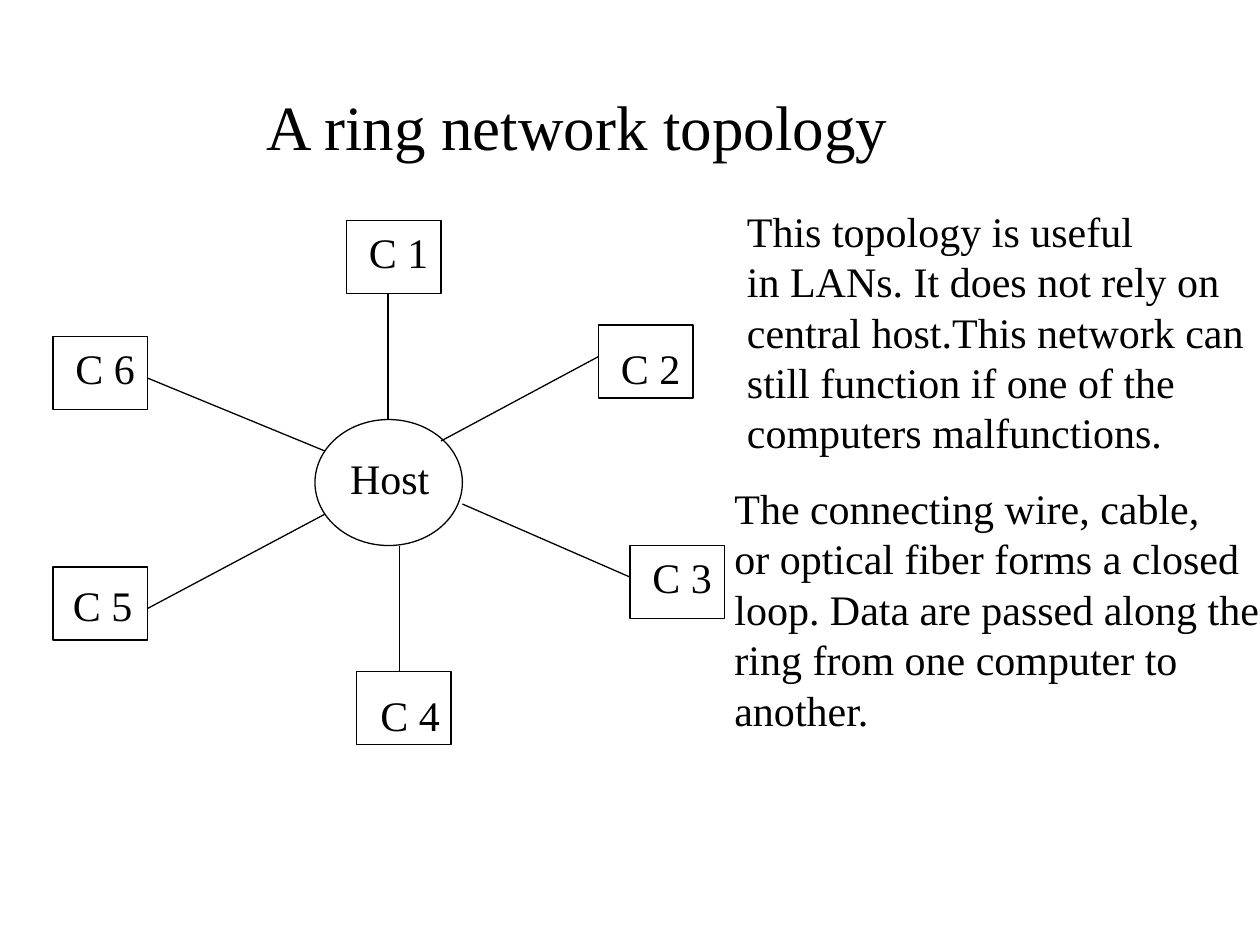
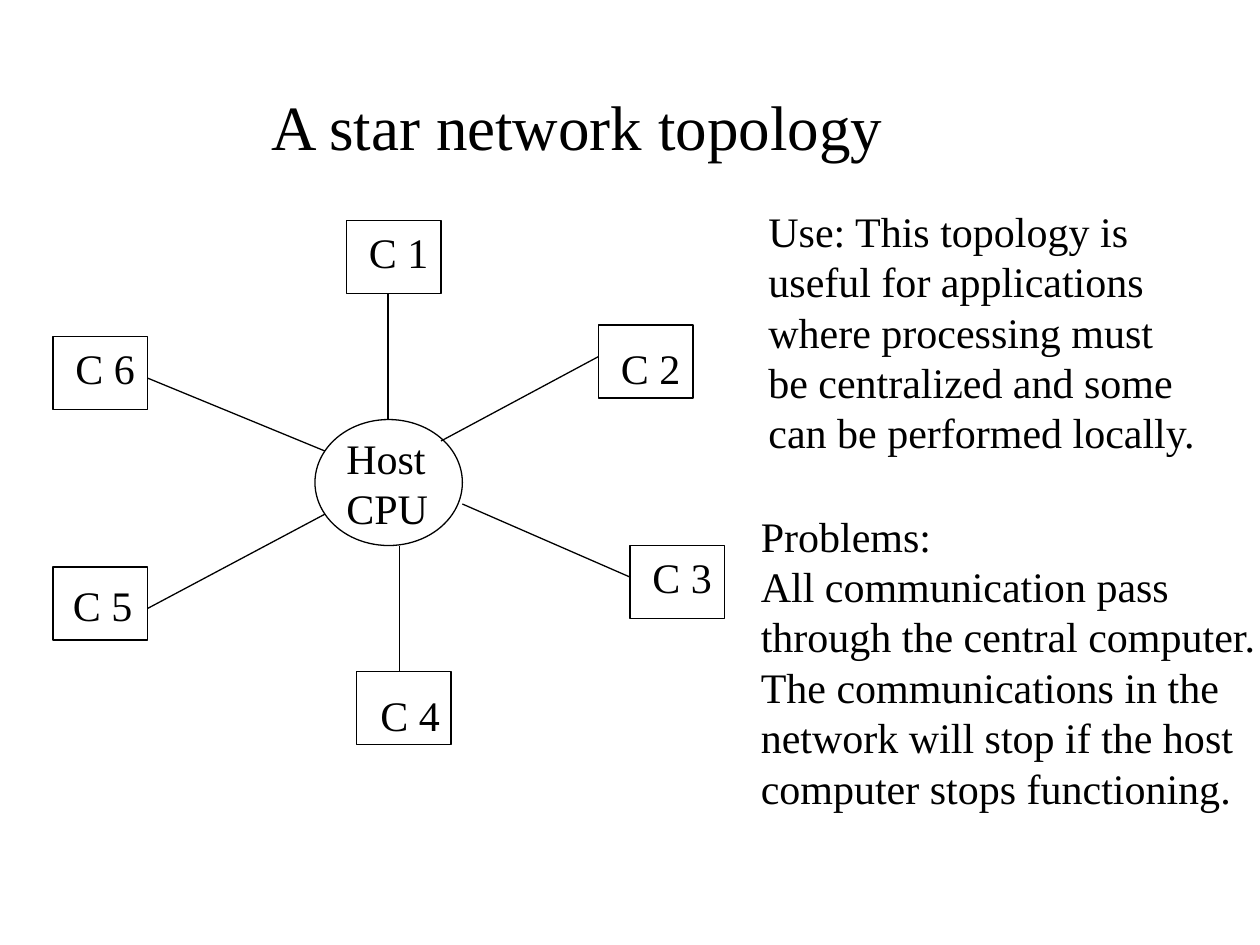
from dataclasses import dataclass
from pptx import Presentation
from pptx.dml.color import RGBColor
from pptx.enum import shapes as kinds, text as txt
from pptx.oxml.ns import qn
from pptx.util import Inches, Pt


@dataclass(frozen=True)
class Theme:
    font: str = "Times New Roman"
    ink: RGBColor = RGBColor(0, 0, 0)
    title: int = 36
    body: int = 24
    line: float = 0.75


THEME = Theme()
TITLE = (1.76, 0.76, 5.64, 0.47)
STAR = (0.42, 1.75)  # left and top of the diagram
NODE = (0.75, 0.58)
LABEL = (0.67, 0.5)
HOST = (2.08, 1.58, 1.17, 1)

# Relative to the diagram: node corner, label offset in the node,
# then the ends of the link at the host and at the node
NODES = {
    "C 1": ((2.33, 0), (0.08, 0), (2.66, 1.58), (2.66, 0.58)),
    "C 2": ((4.33, 0.83), (0.08, 0.09), (3.08, 1.75), (4.33, 1.08)),
    "C 3": ((4.58, 2.58), (0.08, 0), (3.25, 2.25), (4.58, 2.83)),
    "C 4": ((2.41, 3.58), (0.09, 0.09), (2.75, 2.58), (2.75, 3.58)),
    "C 5": ((0, 2.75), (0.06, 0.05), (2.16, 2.33), (0.75, 3.08)),
    "C 6": ((0, 0.92), (0.08, 0), (2.16, 1.83), (0.75, 1.25)),
}


def inch(*sizes):
    return [Inches(size) for size in sizes]


def shift(base, step):
    return base[0] + step[0], base[1] + step[1]


def write(frame, lines, size, align=txt.PP_ALIGN.LEFT):
    """Put each line in its own paragraph."""
    for i, line in enumerate(lines):
        para = frame.add_paragraph() if i else frame.paragraphs[0]
        para.alignment = align
        run = para.add_run()
        run.text = line
        run.font.name = THEME.font
        run.font.size = Pt(size)
        run.font.color.rgb = THEME.ink


def add_text(parts, box, lines):
    frame = parts.add_textbox(*inch(*box)).text_frame
    frame.word_wrap = False
    frame.auto_size = txt.MSO_AUTO_SIZE.SHAPE_TO_FIT_TEXT
    write(frame, lines, THEME.body)


def ink_line(part):
    part.line.color.rgb = THEME.ink
    part.line.width = Pt(THEME.line)


def add_outline(parts, kind, box):
    part = parts.add_shape(kind, *inch(*box))
    part.shadow.inherit = False
    part.fill.background()
    ink_line(part)


def add_link(parts, start, end):
    link = parts.add_connector(kinds.MSO_CONNECTOR.STRAIGHT,
                               *inch(*start, *end))
    ink_line(link)
    props = link._element.spPr
    props.append(props.makeelement(qn("a:effectLst"), {}))


def add_star(parts, spot, host, inner):
    """Draw the host and its nodes; inner is the host label's box."""
    add_outline(parts, kinds.MSO_SHAPE.OVAL,
                (*shift(spot, HOST), *HOST[2:]))
    for name, (corner, inset, start, end) in NODES.items():
        place = shift(spot, corner)
        add_outline(parts, kinds.MSO_SHAPE.RECTANGLE, (*place, *NODE))
        add_link(parts, shift(spot, start), shift(spot, end))
        add_text(parts, (*shift(place, inset), *LABEL), [name])
    add_text(parts, (*shift(spot, inner), *inner[2:]), host)


def add_title(slide, words):
    title = slide.shapes.title
    title.left, title.top, title.width, title.height = inch(*TITLE)
    frame = title.text_frame
    frame.word_wrap = True
    frame.auto_size = txt.MSO_AUTO_SIZE.NONE
    frame.vertical_anchor = txt.MSO_ANCHOR.MIDDLE
    write(frame, [words], THEME.title, txt.PP_ALIGN.CENTER)


def add_slide(deck, title, host, inner, notes):
    slide = deck.slides.add_slide(deck.slide_layouts[5])
    add_title(slide, title)
    add_star(slide.shapes.add_group_shape().shapes, STAR, host, inner)
    for box, lines in notes:
        add_text(slide.shapes, box, lines)


def main():
    deck = Presentation()
    deck.slide_width, deck.slide_height = inch(10, 7.5)
    add_slide(deck, "A ring network topology",
              ["Host"], (2.26, 1.79, 0.83, 0.5), [
                  ((5.83, 1.58, 4.14, 2.1), [
                      "This topology is useful",
                      "in LANs. It does not rely on",
                      "central host.This network can",
                      "still function if one of the",
                      "computers malfunctions."]),
                  ((5.73, 3.78, 4.45, 2.1), [
                      "The connecting wire, cable,",
                      "or optical fiber forms a closed",
                      "loop. Data are passed along the",
                      "ring from one computer to",
                      "another."])])
    add_slide(deck, "A star network topology",
              ["Host", "CPU"], (2.23, 1.63, 0.85, 0.9), [
                  ((6, 1.58, 3.69, 2.1), [
                      "Use: This topology is",
                      "useful for applications",
                      "where processing must",
                      "be centralized and some",
                      "can be performed locally."]),
                  ((5.94, 4, 4.14, 2.5), [
                      "Problems:",
                      "All communication pass",
                      "through the central computer.",
                      "The communications in the",
                      "network will stop if the host",
                      "computer stops functioning."])])
    deck.save("out.pptx")


if __name__ == "__main__":
    main()
